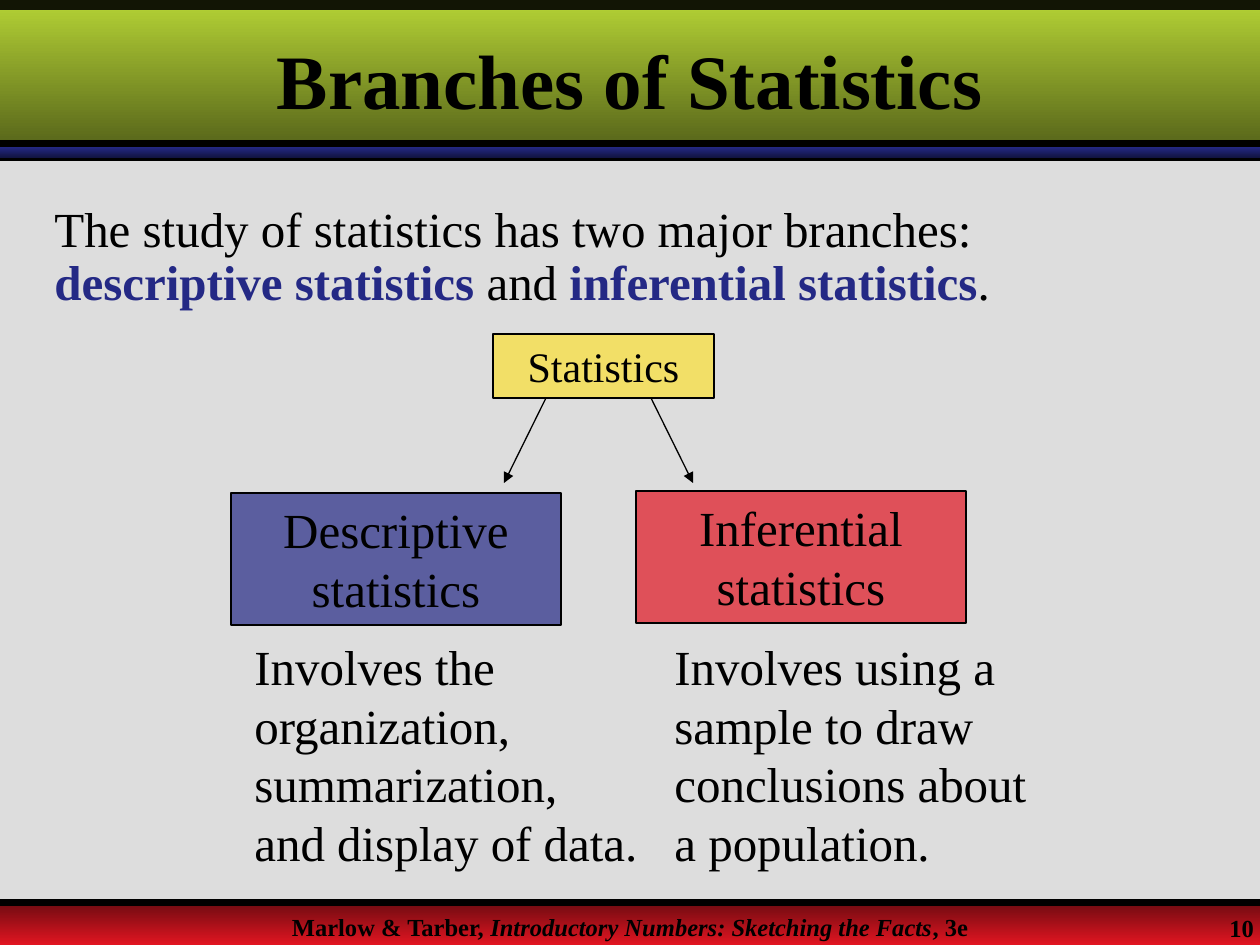
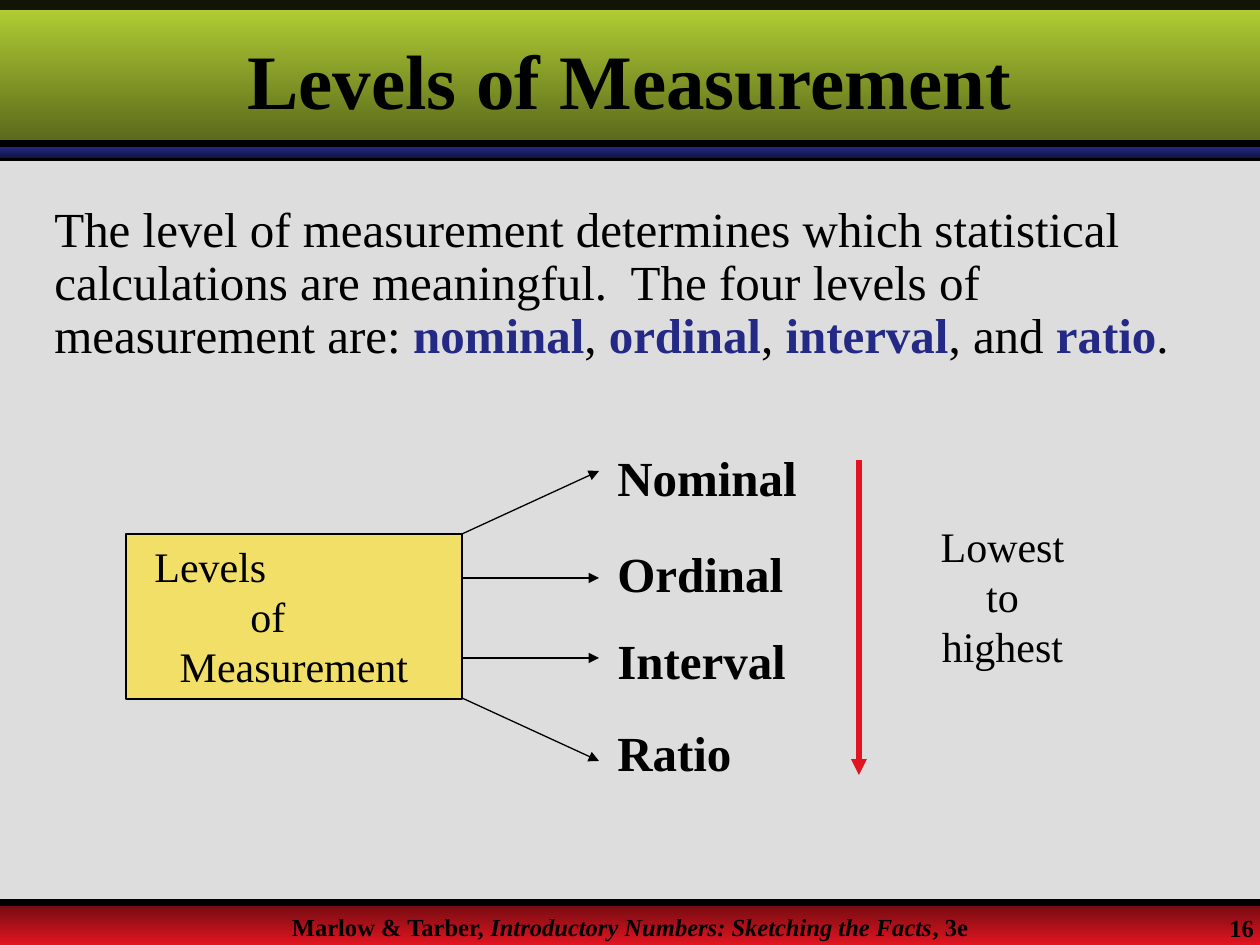
"""Build two statistics slides: branches of statistics and levels of measurement."""
import pptx
import pptx.util
import pptx.dml.color
import pptx.enum.shapes
import pptx.enum.text
import pptx.oxml
import pptx.oxml.ns

RGBColor = pptx.dml.color.RGBColor
BLACK = RGBColor(0x00, 0x00, 0x00)
GREY = RGBColor(0xDD, 0xDD, 0xDD)
STRIP = RGBColor(0x12, 0x15, 0x05)
GREEN = RGBColor(0xB5, 0xD3, 0x35)
DARK_GREEN = RGBColor(0x57, 0x65, 0x1A)
BLUE = RGBColor(0x24, 0x29, 0x85)
DARK_BLUE = RGBColor(0x11, 0x13, 0x40)
RED = RGBColor(0xE1, 0x15, 0x21)
DARK_RED = RGBColor(0x70, 0x0B, 0x11)
YELLOW = RGBColor(0xFB, 0xE1, 0x36)

FONT = "Times New Roman"
PX = 914400 / 126
WIDTH, HEIGHT = 1260, 945
RECTANGLE = pptx.enum.shapes.MSO_SHAPE.RECTANGLE
LEFT = pptx.enum.text.PP_ALIGN.LEFT
CENTER = pptx.enum.text.PP_ALIGN.CENTER
TOP = pptx.enum.text.MSO_ANCHOR.TOP
MIDDLE = pptx.enum.text.MSO_ANCHOR.MIDDLE
A_NS = pptx.oxml.ns.nsdecls("a")


def write(page, text, area, size=28, bold=False, align=LEFT, anchor=TOP, wrap=True,
          spacing=None, fill=None, mark_colour=BLACK, mark_italic=False, indents=()):
    """Add text, one paragraph a line; stretches between asterisks are marked."""
    lengths = [int(side * PX) for side in area]
    if fill is None:
        box = page.shapes.add_textbox(*lengths)
    else:
        box = page.shapes.add_shape(RECTANGLE, *lengths)
        box.shadow.inherit = False
        box.fill.solid()
        box.fill.fore_color.rgb = fill
        colour = box.fill._xPr.find(".//" + pptx.oxml.ns.qn("a:srgbClr"))
        colour.append(pptx.oxml.parse_xml(f'<a:alpha {A_NS} val="70000"/>'))
        box.line.color.rgb = BLACK
        box.line.width = pptx.util.Pt(0.75)
    frame = box.text_frame
    frame.word_wrap = wrap
    frame.vertical_anchor = anchor
    for index, line in enumerate(text.split("\n")):
        para = frame.add_paragraph() if index else frame.paragraphs[0]
        para.alignment = align
        para.line_spacing = spacing
        if index < len(indents):
            para.alignment = LEFT
            para._p.get_or_add_pPr().set("marL", str(int(indents[index] * PX)))
        for position, part in enumerate(line.split("*")):
            marked = position % 2 == 1
            span = para.add_run()
            span.text = part
            span.font.name = FONT
            span.font.size = pptx.util.Pt(size)
            span.font.bold = bold or marked
            span.font.italic = marked and mark_italic
            span.font.color.rgb = mark_colour if marked else BLACK


def draw_line(page, start, end, colour=BLACK, width=0.75, arrow=True):
    """Add a straight line, with an arrowhead at its end if asked."""
    points = [int(value * PX) for value in (*start, *end)]
    line = page.shapes.add_connector(pptx.enum.shapes.MSO_CONNECTOR.STRAIGHT, *points)
    line.line.color.rgb = colour
    line.line.width = pptx.util.Pt(width)
    if arrow:
        line.line._get_or_add_ln().append(
            pptx.oxml.parse_xml(f'<a:tailEnd {A_NS} type="triangle"/>'))
    line._element.spPr.append(pptx.oxml.parse_xml(f"<a:effectLst {A_NS}/>"))


deck = pptx.Presentation()
deck.slide_width = int(WIDTH * PX)
deck.slide_height = int(HEIGHT * PX)

bands = [
    (903, 42, DARK_RED, RED),
    (147, 11, BLUE, DARK_BLUE),
    (0, 147, GREEN, DARK_GREEN),
    (0, 10, STRIP, STRIP),
]
headings = [
    ("Branches of Statistics", "10",
     "The study of statistics has two major branches: "
     "*descriptive statistics* and *inferential statistics*."),
    ("Levels of Measurement", "16",
     "The level of measurement determines which statistical calculations are "
     "meaningful.  The four levels of measurement are: "
     "*nominal*, *ordinal*, *interval*, and *ratio*."),
]

pages = []
for title, number, intro in headings:
    page = deck.slides.add_slide(deck.slide_layouts[6])
    page.background.fill.solid()
    page.background.fill.fore_color.rgb = GREY
    draw_line(page, (0, 158), (WIDTH, 158), width=4, arrow=False)
    for top, height, first, last in bands:
        band = page.shapes.add_shape(
            RECTANGLE, 0, int(top * PX), int(WIDTH * PX), int(height * PX))
        band.shadow.inherit = False
        band.line.fill.background()
        band.fill.gradient()
        band.fill.gradient_angle = 270
        for stop, colour in zip(band.fill.gradient_stops, (first, last)):
            stop.color.rgb = colour
    for y in (144, 903):
        draw_line(page, (0, y), (WIDTH, y), width=4, arrow=False)
    write(page, "Marlow & Tarber, *Introductory Numbers: Sketching the Facts*, 3e",
          (0, 906, WIDTH, 25), size=14, bold=True, align=CENTER, mark_italic=True)
    write(page, number, (1217, 907, 54, 42), size=14, bold=True, wrap=False)
    write(page, title, (0, 11, WIDTH, 136), size=44, bold=True, align=CENTER, anchor=MIDDLE)
    write(page, intro, (42, 199, 1166, 126), spacing=0.9, mark_colour=BLUE)
    pages.append(page)

branches, levels = pages

write(branches, "Statistics", (493, 334, 221, 64), size=24, align=CENTER, fill=YELLOW)
branch_details = [
    ("Descriptive statistics", (231, 493, 330, 132), BLUE, 546, 504,
     "Involves the organization, summarization, and display of data.", 242),
    ("Inferential statistics", (636, 491, 330, 132), RED, 651, 693,
     "Involves using a sample to draw conclusions about a population.", 662),
]
for name, area, colour, start_x, end_x, meaning, meaning_x in branch_details:
    draw_line(branches, (start_x, 398), (end_x, 483))
    write(branches, name, area, align=CENTER, fill=colour)
    write(branches, meaning, (meaning_x, 630, 410, 248))

write(levels, "Levels\nof\nMeasurement", (126, 534, 336, 165), size=24,
      align=CENTER, fill=YELLOW, indents=(16, 112))
level_rows = [
    ("Nominal", 441, 534, 471),
    ("Ordinal", 537, 578, 578),
    ("Interval", 624, 658, 658),
    ("Ratio", 716, 698, 761),
]
for name, top, start_y, end_y in level_rows:
    write(levels, name, (605, top, 330, 72), bold=True)
    draw_line(levels, (462, start_y), (599, end_y))
write(levels, "Lowest to highest", (913, 514, 179, 164), size=24, align=CENTER)
draw_line(levels, (859, 460), (859, 775), colour=RED, width=3)

deck.save("out.pptx")
